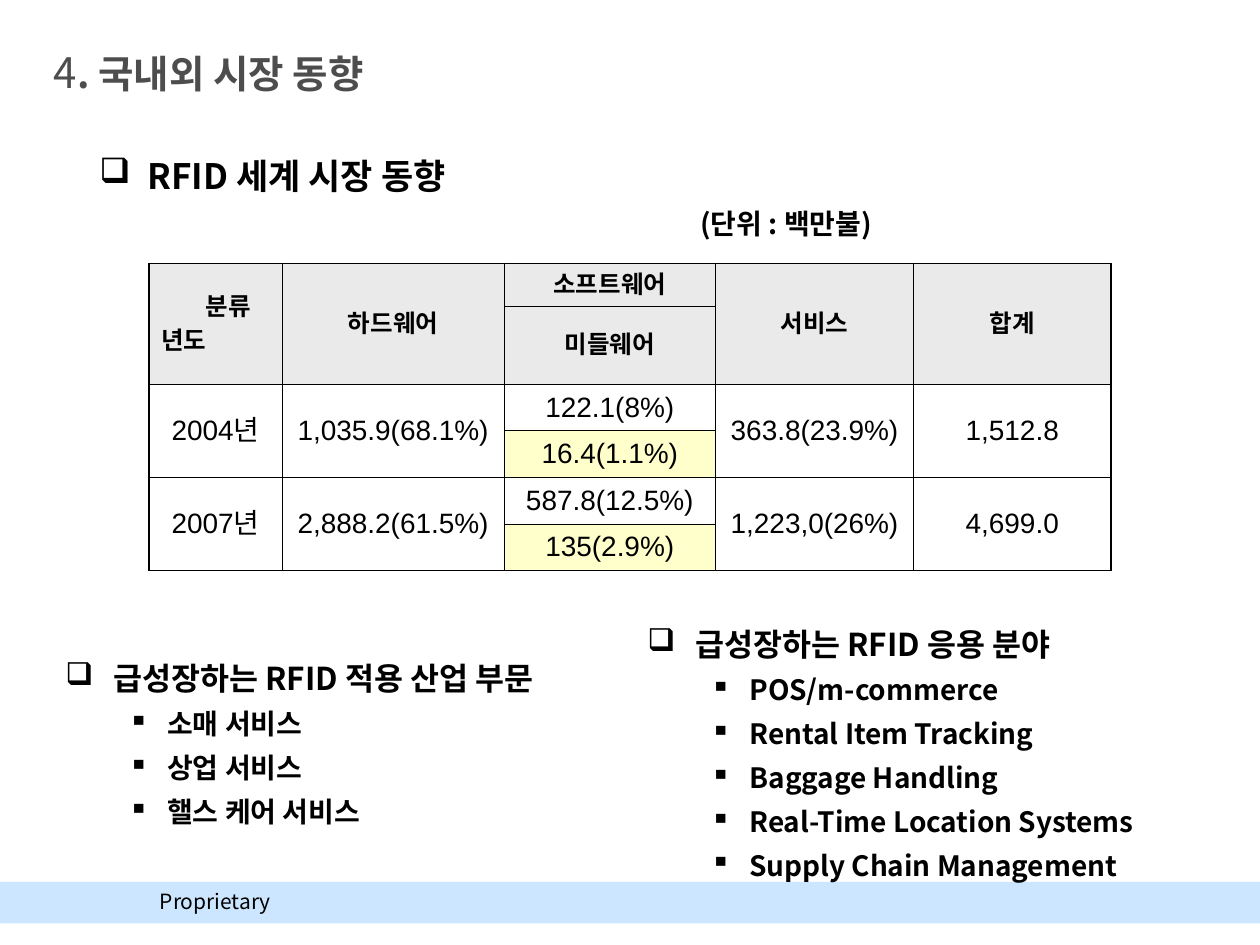
from lxml.etree import SubElement as Sub
from pptx import Presentation
from pptx.dml.color import RGBColor as RGB
from pptx.enum.shapes import MSO_SHAPE as Shape
from pptx.enum.text import MSO_ANCHOR as Anchor, PP_ALIGN as Align
from pptx.oxml.ns import qn
from pptx.util import Inches, Pt

BLACK = RGB(0, 0, 0)
GREY = RGB(0x4D, 0x4D, 0x4D)
HEAD = RGB(0xEA, 0xEA, 0xEA)
CREAM = RGB(0xFF, 0xFF, 0xCC)
BLUE = RGB(0xCD, 0xE6, 0xFF)
SANS = "Noto Sans CJK KR"
WIDE, HIGH = 100, 75
UNIT = Inches(0.1)
THICK, THIN = 1.08, 0.45

COLS = [10.6, 17.6, 16.8, 15.7, 15.7]
ROWS = [3.4, 6.2, 3.7, 3.7, 3.7, 3.7]
PAIRS = [
    (["분류\n년도", "하드웨어", "소프트웨어", "서비스", "합계"], "미들웨어"),
    (["2004년", "1,035.9(68.1%)", "122.1(8%)", "363.8(23.9%)", "1,512.8"],
     "16.4(1.1%)"),
    (["2007년", "2,888.2(61.5%)", "587.8(12.5%)", "1,223,0(26%)", "4,699.0"],
     "135(2.9%)"),
]
SPLIT = 2


def scale(box):
    return [round(n * UNIT) for n in box]


def write(par, words, size=16, face=SANS, color=BLACK, bold=False,
          mark=None, left=0, hang=0, line=None, gap=0, align=None, level=0):
    props = par._p.get_or_add_pPr()
    if left:
        props.set("marL", str(Inches(left)))
        props.set("indent", str(Inches(-hang)))
    if mark:
        tint = Sub(props, qn("a:buClr"))
        Sub(tint, qn("a:srgbClr"), val=str(BLACK))
        Sub(props, qn("a:buChar"), char=mark)
    par.level = level
    if line:
        par.line_spacing = line
    if gap:
        par.space_before = Pt(gap)
    if align is not None:
        par.alignment = align
    run = par.add_run()
    run.text = words
    font = run.font
    font.size, font.name, font.bold = Pt(size), face, bold
    font.color.rgb = color
    Sub(run._r.get_or_add_rPr(), qn("a:ea"), typeface=face)


def frame(slide, box, anchor=Anchor.TOP):
    area = slide.shapes.add_textbox(*scale(box)).text_frame
    area.word_wrap = True
    area.vertical_anchor = anchor
    return area


def title(slide, box):
    par = frame(slide, box, Anchor.MIDDLE).paragraphs[0]
    write(par, "4", size=24, color=GREY)
    write(par, ". 국내외 시장 동향", size=22, color=GREY, bold=True)


def footer(slide, box):
    left, top, wide, high = box
    bar = slide.shapes.add_shape(Shape.RECTANGLE, *scale(box))
    bar.shadow.inherit = False
    bar.fill.solid()
    bar.fill.fore_color.rgb = BLUE
    bar.line.fill.background()
    label = frame(slide, (left + 11.7, top, 13.3, high))
    write(label.paragraphs[0], "Proprietary", size=12)


def heading(area, words, size):
    write(area.paragraphs[0], words, size=size, bold=True, mark="❑",
          left=0.38, hang=0.38, line=1.1)


def intro(slide, box):
    area = frame(slide, box)
    heading(area, "RFID 세계 시장 동향", 20)
    write(area.add_paragraph(), "(단위 : 백만불)", bold=True,
          left=4.77, line=1.1, gap=4)


def bullets(slide, box, head, items):
    area = frame(slide, box)
    heading(area, head, 18)
    for item in items:
        write(area.add_paragraph(), item, bold=True, mark="▪", left=0.81,
              hang=0.31, line=1.1, gap=4, level=1)


def border(cell, row, col):
    last = row + (cell.span_height if cell.is_merge_origin else 1)
    edges = {"L": col == 0, "R": col == len(COLS) - 1,
             "T": row == 0, "B": last == len(ROWS)}
    props = cell._tc.get_or_add_tcPr()
    for spot, (side, outer) in enumerate(edges.items()):
        line = Sub(props, qn("a:ln" + side),
                   w=str(Pt(THICK if outer else THIN)))
        Sub(Sub(line, qn("a:solidFill")), qn("a:srgbClr"), val=str(BLACK))
        props.insert(spot, line)


def fill(cell, words, row, col):
    cell.vertical_anchor = Anchor.MIDDLE
    head = row < 2
    tint = HEAD if head else CREAM if row % 2 else None
    if tint is None:
        cell.fill.background()
    else:
        cell.fill.solid()
        cell.fill.fore_color.rgb = tint
    look = dict(size=14 if head else 16, face="Arial", bold=head)
    area = cell.text_frame
    if "\n" in words:
        top, low = words.split("\n")
        write(area.paragraphs[0], top, left=0.35, **look)
        write(area.add_paragraph(), low, gap=3.5, **look)
    else:
        write(area.paragraphs[0], words, align=Align.CENTER, **look)
    border(cell, row, col)


def market(slide, box):
    grid = slide.shapes.add_table(len(ROWS), len(COLS), *scale(box)).table
    grid.first_row = grid.horz_banding = False
    for col, wide in zip(grid.columns, scale(COLS)):
        col.width = wide
    for row, high in zip(grid.rows, scale(ROWS)):
        row.height = high
    for pair, (tops, low) in enumerate(PAIRS):
        row = pair * 2
        for col, words in enumerate(tops):
            cell = grid.cell(row, col)
            if col != SPLIT:
                cell.merge(grid.cell(row + 1, col))
            fill(cell, words, row, col)
        fill(grid.cell(row + 1, SPLIT), low, row + 1, SPLIT)


def main():
    deck = Presentation()
    deck.slide_width, deck.slide_height = scale((WIDE, HIGH))
    slide = deck.slides.add_slide(deck.slide_layouts[6])
    footer(slide, (0, 70, WIDE, 3.3))
    intro(slide, (6.9, 11.4, 85.6, 8.3))
    market(slide, (11.8, 20.9, sum(COLS), sum(ROWS)))
    bullets(slide, (4.2, 51.5, 46.9, 17.3), "급성장하는 RFID 적용 산업 부문",
            ["소매 서비스", "상업 서비스", "핼스 케어 서비스"])
    bullets(slide, (50.4, 48.8, 46.9, 23.2), "급성장하는 RFID 응용 분야",
            ["POS/m-commerce", "Rental Item Tracking", "Baggage Handling",
             "Real-Time Location Systems", "Supply Chain Management"])
    title(slide, (3.3, 3.2, 78.3, 5))
    deck.save("out.pptx")


if __name__ == "__main__":
    main()
